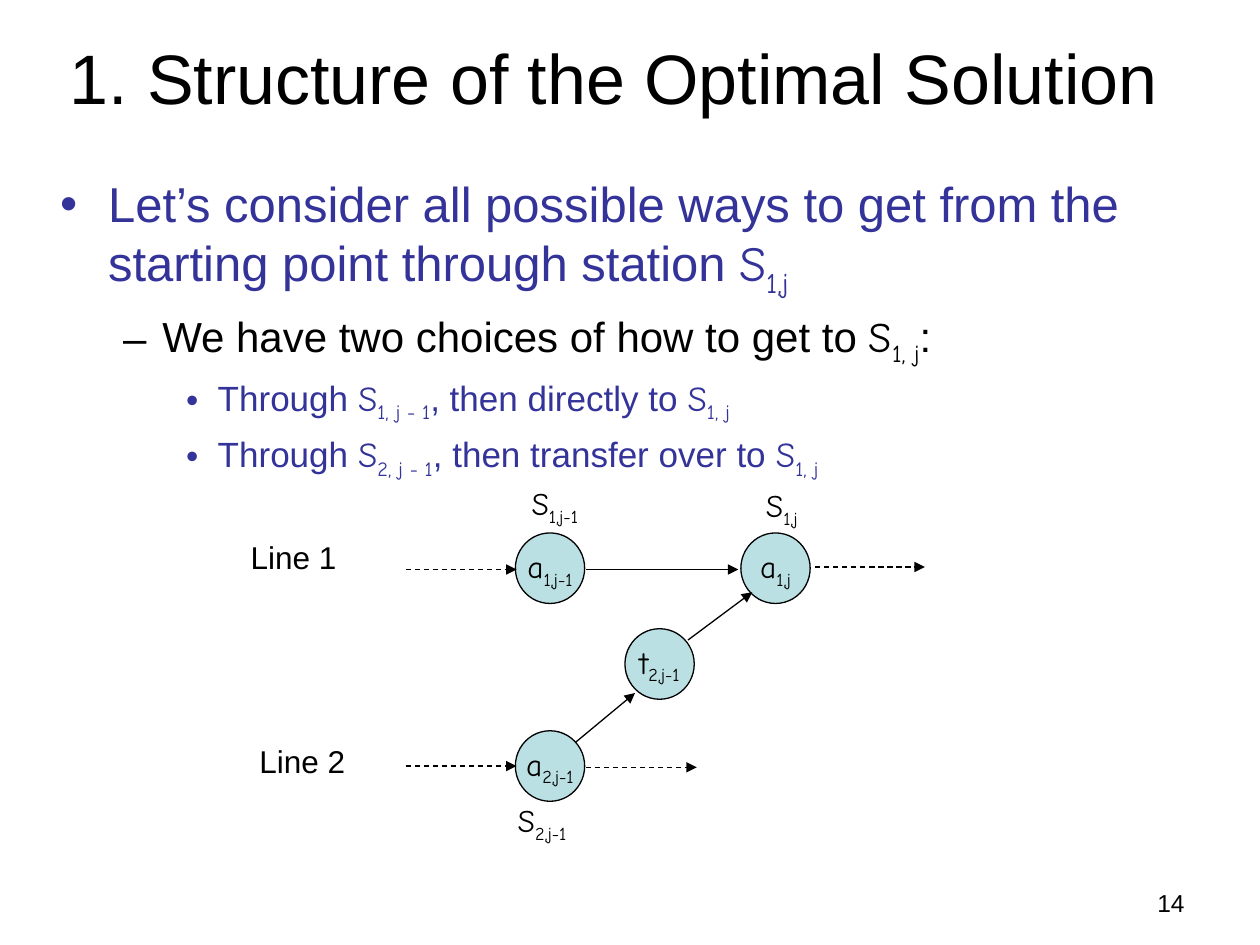
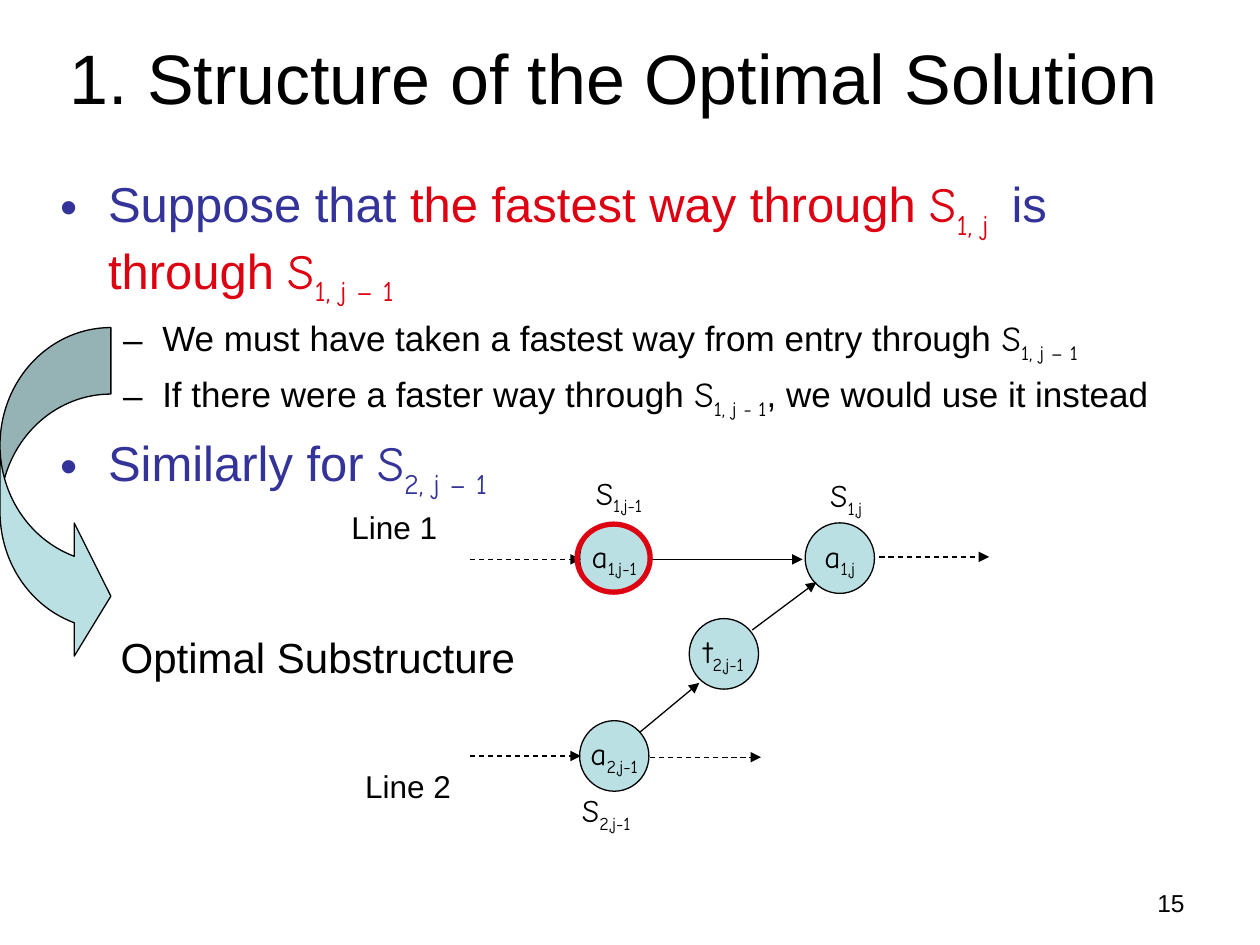
from dataclasses import dataclass, replace
from typing import NamedTuple

from lxml.etree import SubElement
from pptx import Presentation
from pptx.dml.color import RGBColor
from pptx.enum.dml import MSO_LINE
from pptx.enum.shapes import MSO_CONNECTOR, MSO_SHAPE
from pptx.enum.text import MSO_ANCHOR, MSO_AUTO_SIZE, PP_ALIGN
from pptx.oxml.ns import qn
from pptx.util import Inches, Pt

BLACK = RGBColor(0x00, 0x00, 0x00)
NAVY = RGBColor(0x33, 0x33, 0x99)
RED = RGBColor(0xDD, 0x01, 0x11)
AQUA = RGBColor(0xBB, 0xE0, 0xE3)
SANS, COMIC = "Arial", "Comic Neue"
TITLE = "1. Structure of the Optimal Solution"
NODE_W, NODE_H = 0.55, 0.56
STATION_W, STATION_H = 0.65, 0.44

FRAME = {"word_wrap": True, "vertical_anchor": MSO_ANCHOR.TOP}
MIDDLE = {"word_wrap": True, "vertical_anchor": MSO_ANCHOR.MIDDLE}
NODE_FRAME = {"word_wrap": False, "vertical_anchor": MSO_ANCHOR.MIDDLE}
LABEL_FRAME = {"word_wrap": False, "auto_size": MSO_AUTO_SIZE.SHAPE_TO_FIT_TEXT}
STATION_FRAME = {"word_wrap": True, "auto_size": MSO_AUTO_SIZE.NONE}


class Run(NamedTuple):
    """A stretch of text in one font and colour."""
    text: str
    color: RGBColor = BLACK
    font: str = SANS
    sub: bool = False


class Box(NamedTuple):
    """A place on the slide in inches."""
    x: float
    y: float
    w: float
    h: float


@dataclass(frozen=True)
class Bullet:
    """A paragraph style of the body."""
    char: str
    color: RGBColor
    size: int
    margin: float
    hang: float
    before: int


class Symbol(NamedTuple):
    """A letter with a subscript and its place in the diagram."""
    letter: str
    index: str
    box: Box


class Arrow(NamedTuple):
    """An arrow of the diagram."""
    x1: float
    y1: float
    x2: float
    y2: float
    dashed: bool = False


POINT = Bullet("•", NAVY, 28, 0.38, 0.38, 7)
CHOICE = Bullet("–", BLACK, 24, 0.81, 0.31, 6)
REASON = replace(CHOICE, size=20, before=5)
DETAIL = Bullet("•", NAVY, 20, 1.25, 0.25, 5)

NODES = [
    Symbol(letter, index, Box(x, y, NODE_W, NODE_H))
    for letter, index, x, y in (
        ("a", "1,j", 5.88, 4.23),
        ("a", "1,j-1", 4.09, 4.23),
        ("a", "2,j-1", 4.09, 5.8),
        ("t", "2,j-1", 4.96, 4.99),
    )
]
STATIONS = [
    Symbol("S", index, Box(x, y, STATION_W, STATION_H))
    for index, x, y in (
        ("1,j", 5.98, 3.81),
        ("1,j-1", 4.12, 3.79),
        ("2,j-1", 4.01, 6.31),
    )
]
ARROWS = [
    Arrow(3.22, 4.52, 4.1, 4.52, True),
    Arrow(3.22, 6.08, 4.1, 6.08, True),
    Arrow(4.65, 4.52, 5.86, 4.52),
    Arrow(4.57, 5.89, 5.04, 5.5),
    Arrow(5.46, 5.08, 5.97, 4.7),
    Arrow(6.47, 4.5, 7.34, 4.5, True),
    Arrow(4.65, 6.09, 5.53, 6.09, True),
]


def indexed(letter: str, index: str, color: RGBColor = BLACK) -> list[Run]:
    """Return the runs of a letter with a subscript."""
    return [Run(letter, color, COMIC), Run(index, color, COMIC, True)]


def add_runs(p, runs: list[Run], size: int) -> None:
    """Add runs of one size to a paragraph."""
    for run in runs:
        r = p.add_run()
        r.text = run.text
        for name, value in {"name": run.font, "size": Pt(size)}.items():
            setattr(r.font, name, value)
        r.font.color.rgb = run.color
        if run.sub:
            r.font._element.set("baseline", "-25000")


def set_frame(tf, frame: dict) -> None:
    """Apply frame settings to a text frame."""
    for name, value in frame.items():
        setattr(tf, name, value)


def add_text(shapes, box: Box, runs: list[Run], size: int, frame: dict, align=PP_ALIGN.LEFT) -> None:
    """Add a text box of one paragraph."""
    tf = shapes.add_textbox(*map(Inches, box)).text_frame
    set_frame(tf, frame)
    p = tf.paragraphs[0]
    p.alignment = align
    add_runs(p, runs, size)


def add_outlined(shapes, kind, box: Box, fill: RGBColor | None = AQUA, line: RGBColor = BLACK, width: float = 0.75):
    """Add a flat preset shape with an outline."""
    sp = shapes.add_shape(kind, *map(Inches, box))
    sp.shadow.inherit = False
    if fill is None:
        sp.fill.background()
    else:
        sp.fill.solid()
        sp.fill.fore_color.rgb = fill
    sp.line.color.rgb = line
    sp.line.width = Pt(width)
    return sp


def add_arrow(shapes, arrow: Arrow, dx: float, dy: float) -> None:
    """Add a straight arrow moved by an offset."""
    ends = (arrow.x1 + dx, arrow.y1 + dy, arrow.x2 + dx, arrow.y2 + dy)
    c = shapes.add_connector(MSO_CONNECTOR.STRAIGHT, *map(Inches, ends))
    c.line.color.rgb = BLACK
    c.line.width = Pt(0.75)
    if arrow.dashed:
        c.line.dash_style = MSO_LINE.DASH
    SubElement(c.line._get_or_add_ln(), qn("a:tailEnd"), type="triangle")
    SubElement(c._element.spPr, qn("a:effectLst"))


def add_diagram(s, dx: float = 0, dy: float = 0) -> None:
    """Add the grouped station diagram moved by an offset."""
    shapes = s.shapes.add_group_shape().shapes
    for node in NODES:
        box = node.box._replace(x=node.box.x + dx, y=node.box.y + dy)
        tf = add_outlined(shapes, MSO_SHAPE.OVAL, box).text_frame
        set_frame(tf, NODE_FRAME)
        p = tf.paragraphs[0]
        p.alignment = PP_ALIGN.CENTER
        add_runs(p, indexed(node.letter, node.index), 18)
    for station in STATIONS:
        box = station.box._replace(x=station.box.x + dx, y=station.box.y + dy)
        add_text(shapes, box, indexed(station.letter, station.index), 18, STATION_FRAME)
    for arrow in ARROWS:
        add_arrow(shapes, arrow, dx, dy)


def add_line_labels(s, *corners: tuple[float, float]) -> None:
    """Name the assembly lines at the given corners."""
    for number, (x, y) in enumerate(corners, 1):
        add_text(s.shapes, Box(x, y, 0.88, 0.4), [Run(f"Line {number}")], 18, LABEL_FRAME)


def add_body(s, width: float, items: list[tuple[Bullet, list[Run]]]) -> None:
    """Add the bulleted body text."""
    tf = s.shapes.add_textbox(*map(Inches, Box(0.38, 1.33, width, 5.55))).text_frame
    set_frame(tf, FRAME)
    for i, (style, runs) in enumerate(items):
        p = tf.add_paragraph() if i else tf.paragraphs[0]
        pPr = p._p.get_or_add_pPr()
        pPr.set("marL", str(Inches(style.margin)))
        pPr.set("indent", str(-Inches(style.hang)))
        clr = SubElement(pPr, qn("a:buClr"))
        SubElement(clr, qn("a:srgbClr"), val=str(style.color))
        SubElement(pPr, qn("a:buFont"), typeface=SANS)
        SubElement(pPr, qn("a:buChar"), char=style.char)
        if i:
            p.space_before = Pt(style.before)
        add_runs(p, runs, style.size)


def add_base(prs, number: int):
    """Add a slide with its title and number."""
    s = prs.slides.add_slide(prs.slide_layouts[6])
    add_text(s.shapes, Box(7.17, 7, 2.33, 0.35), [Run(str(number))], 14, FRAME, PP_ALIGN.RIGHT)
    add_text(s.shapes, Box(0.37, 0.11, 9, 0.99), [Run(TITLE)], 40, MIDDLE, PP_ALIGN.CENTER)
    return s


def build_choices(prs) -> None:
    """Build the slide on the ways to reach a station."""
    s = add_base(prs, 14)
    add_body(s, 9.06, [
        (POINT, [Run("Let’s consider all possible ways to get from the starting point through station ", NAVY),
                 *indexed("S", "1,j", NAVY)]),
        (CHOICE, [Run("We have two choices of how to get to "), *indexed("S", "1, j"), Run(":")]),
        (DETAIL, [Run("Through ", NAVY), *indexed("S", "1, j - 1", NAVY),
                  Run(", then directly to ", NAVY), *indexed("S", "1, j", NAVY)]),
        (DETAIL, [Run("Through ", NAVY), *indexed("S", "2, j - 1", NAVY),
                  Run(", then transfer over to ", NAVY), *indexed("S", "1, j", NAVY)]),
    ])
    add_diagram(s)
    add_line_labels(s, (1.89, 4.22), (1.96, 5.84))


def build_substructure(prs) -> None:
    """Build the slide on optimal substructure."""
    s = add_base(prs, 15)
    add_body(s, 9.34, [
        (POINT, [Run("Suppose that ", NAVY), Run("the fastest way through ", RED),
                 *indexed("S", "1, j ", RED), Run(" is ", NAVY),
                 Run("through ", RED), *indexed("S", "1, j – 1", RED)]),
        (REASON, [Run("We must have taken a fastest way from entry through "), *indexed("S", "1, j – 1")]),
        (REASON, [Run("If there were a faster way through "), *indexed("S", "1, j - 1"),
                  Run(", we would use it instead")]),
        (POINT, [Run("Similarly for ", NAVY), *indexed("S", "2, j – 1", NAVY)]),
    ])
    add_diagram(s, 0.51, -0.08)
    add_outlined(s.shapes, MSO_SHAPE.OVAL, Box(4.58, 4.16, 0.58, 0.54), None, RED, 3)
    add_text(s.shapes, Box(0.86, 4.96, 3.33, 0.5), [Run("Optimal Substructure")], 24, LABEL_FRAME)
    sp = add_outlined(s.shapes, MSO_SHAPE.CURVED_RIGHT_ARROW, Box(0, 2.6, 0.88, 2.66))
    for i, value in enumerate((0.6, 1.2, 0.33)):
        sp.adjustments[i] = value
    add_line_labels(s, (2.69, 3.98), (2.8, 6.04))


def main() -> None:
    """Build and save the deck."""
    prs = Presentation()
    prs.slide_width, prs.slide_height = Inches(10), Inches(7.5)
    build_choices(prs)
    build_substructure(prs)
    prs.save("out.pptx")


if __name__ == "__main__":
    main()
